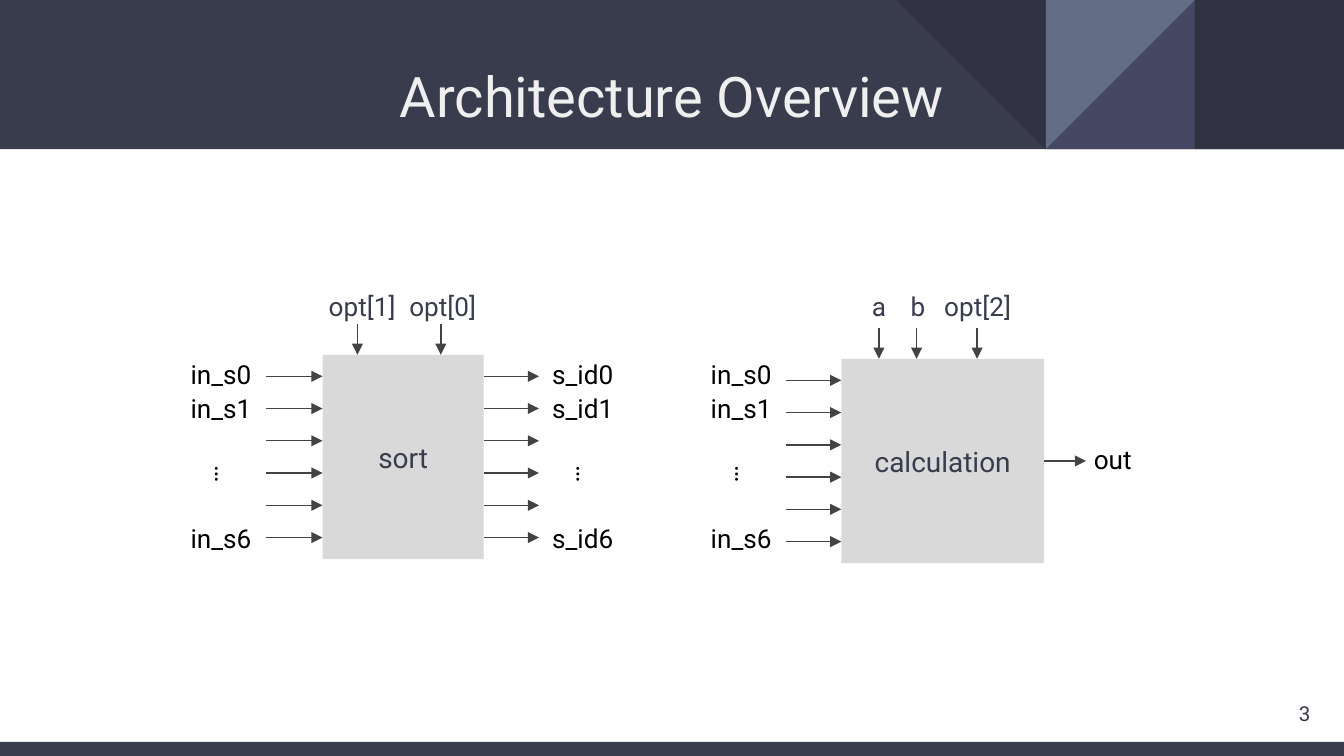
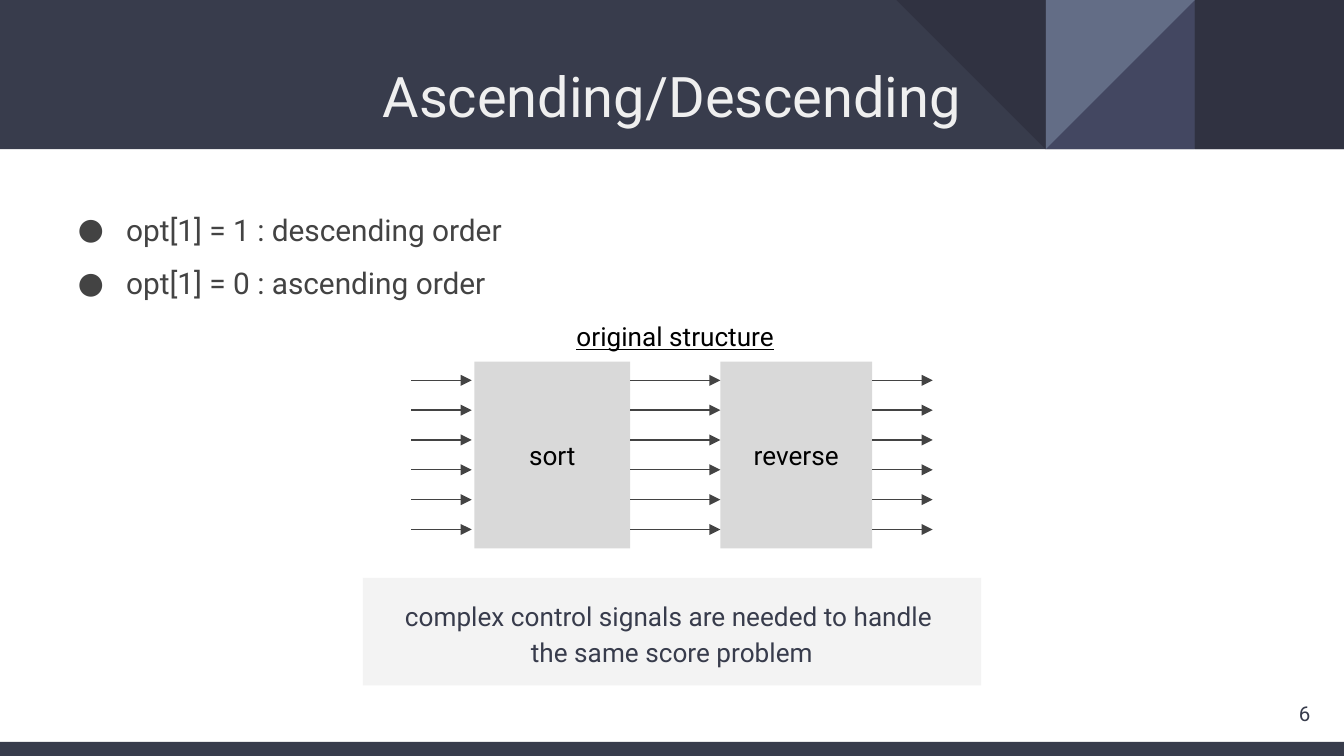
from dataclasses import dataclass

from lxml import etree
from pptx import Presentation
from pptx.dml.color import RGBColor
from pptx.enum.shapes import MSO_CONNECTOR as Connector, MSO_SHAPE as Preset
from pptx.enum.text import MSO_ANCHOR as Anchor, MSO_AUTO_SIZE as AutoSize, PP_ALIGN as Align
from pptx.oxml.ns import qn
from pptx.util import Inches, Pt


@dataclass(frozen=True)
class Theme:
    font: str = "Roboto"
    band: str = "383C4C"
    dark: str = "303241"
    violet: str = "434761"
    steel: str = "636D86"
    title: str = "EFEFEF"
    gray: str = "434343"
    black: str = "000000"
    block: str = "D9D9D9"
    note: str = "F3F3F3"
    title_size: int = 30
    body_size: int = 16
    block_size: int = 15
    label_size: int = 14
    number_size: int = 11
    line_width: float = 0.75


theme = Theme()


def write_text(shape, text, size=theme.label_size, color=theme.black, align=Align.LEFT,
               anchor=Anchor.TOP, spacing=1.0, underline=None, bullet=None, fill=None):
    """Write text into a shape, one paragraph a line, and format both."""
    if fill:
        shape.shadow.inherit = False
        shape.fill.solid()
        shape.fill.fore_color.rgb = RGBColor.from_string(fill)
        shape.line.fill.background()
    frame = shape.text_frame
    frame.text = text
    frame.word_wrap = True
    frame.auto_size = AutoSize.NONE
    frame.vertical_anchor = anchor
    frame.margin_left = frame.margin_right = frame.margin_top = frame.margin_bottom = Inches(0.1)
    for paragraph in frame.paragraphs:
        paragraph.alignment = align
        paragraph.line_spacing = spacing
        font = paragraph.runs[0].font
        font.name, font.size, font.underline = theme.font, Pt(size), underline
        font.color.rgb = RGBColor.from_string(color)
        if bullet:
            properties = paragraph._p.get_or_add_pPr()
            properties.set("marL", str(Inches(0.5)))
            properties.set("indent", str(Inches(-0.36)))
            bullet_color = etree.SubElement(properties, qn("a:buClr"))
            etree.SubElement(bullet_color, qn("a:srgbClr"), val=color)
            etree.SubElement(properties, qn("a:buFont"), typeface=theme.font)
            etree.SubElement(properties, qn("a:buChar"), char=bullet)


def add_arrow(slide, start_x, start_y, end_x, end_y):
    """Draw a thin arrow between two points."""
    points = [Inches(value) for value in (start_x, start_y, end_x, end_y)]
    arrow = slide.shapes.add_connector(Connector.STRAIGHT, *points)
    arrow.line.color.rgb = RGBColor.from_string(theme.gray)
    arrow.line.width = Pt(theme.line_width)
    etree.SubElement(arrow.line._get_or_add_ln(), qn("a:tailEnd"), type="triangle")
    etree.SubElement(arrow.element.spPr, qn("a:effectLst"))


# Widescreen slides, 16 to 9
presentation = Presentation()
presentation.slide_width = Inches(10)
presentation.slide_height = presentation.slide_width * 9 // 16
layout = presentation.slide_layouts[5]

# Slides with title and page number
slides = []
for title, number in (("Architecture Overview", "3"), ("Ascending/Descending", "6")):
    slide = presentation.slides.add_slide(layout)
    heading = slide.shapes.title
    heading.left, heading.top = Inches(0.34), Inches(0.36)
    heading.width, heading.height = Inches(9.32), Inches(0.76)
    write_text(heading, title, size=theme.title_size, color=theme.title, align=Align.CENTER)
    page = slide.shapes.add_textbox(Inches(9.25), Inches(5.09), Inches(0.6), Inches(0.43))
    write_text(page, number, size=theme.number_size, color=theme.band,
               align=Align.RIGHT, anchor=Anchor.MIDDLE)
    slides.append(slide)
overview, ordering = slides

# Shared bands and corner triangles, moved behind the layout's placeholders
tile = 1.11
decorations = (
    (Preset.RECTANGLE, 0, 0, 10, tile, theme.band, 0, False),
    (Preset.RECTANGLE, 10 - tile, 0, tile, tile, theme.dark, 0, False),
    (Preset.RIGHT_TRIANGLE, 10 - 2 * tile, 0, tile, tile, theme.violet, 0, True),
    (Preset.RIGHT_TRIANGLE, 10 - 2 * tile, 0, tile, tile, theme.steel, 180, True),
    (Preset.RIGHT_TRIANGLE, 10 - 3 * tile, 0, tile, tile, theme.dark, 180, False),
    (Preset.RECTANGLE, 0, 5.52, 10, 0.11, theme.band, 0, False),
)
for index, (preset, left, top, width, height, color, rotation, flipped) in enumerate(decorations):
    shape = overview.shapes.add_shape(preset, Inches(left), Inches(top), Inches(width), Inches(height))
    shape.shadow.inherit = False
    shape.fill.solid()
    shape.fill.fore_color.rgb = RGBColor.from_string(color)
    shape.line.fill.background()
    shape.rotation = rotation
    if flipped:
        shape.element.spPr.find(qn("a:xfrm")).set("flipH", "1")
    layout.element.cSld.spTree.insert(2 + index, shape.element)

# Result of the calculation, its arrow starting behind the block
result = overview.shapes.add_textbox(Inches(8.04), Inches(3.2), Inches(0.73), Inches(0.44))
write_text(result, "out")
add_arrow(overview, 7.72, 3.43, 8.08, 3.43)

# Blocks of both diagrams and the note below the second one
for slide, text, left, top, width, height, size, color, fill, spacing in (
    (overview, "sort", 2.4, 2.64, 1.2, 1.52, theme.block_size, theme.band, theme.block, 1.0),
    (overview, "calculation", 6.26, 2.67, 1.51, 1.52, theme.block_size, theme.band, theme.block, 1.0),
    (ordering, "sort", 3.53, 2.69, 1.16, 1.39, theme.label_size, theme.black, theme.block, 1.0),
    (ordering, "reverse", 5.36, 2.69, 1.13, 1.39, theme.label_size, theme.black, theme.block, 1.0),
    (ordering, "complex control signals are needed to handle \nthe same score problem",
     2.7, 4.3, 4.6, 0.8, theme.label_size, theme.band, theme.note, 1.15),
):
    block = slide.shapes.add_shape(Preset.RECTANGLE, Inches(left), Inches(top), Inches(width), Inches(height))
    write_text(block, text, size=size, color=color, align=Align.CENTER,
               anchor=Anchor.MIDDLE, spacing=spacing, fill=fill)

# Rows of six signal arrows
for slide, start, end, first, last in (
    (overview, 1.98, 2.4, 2.8, 4.0),
    (overview, 3.6, 4.01, 2.8, 4.0),
    (overview, 5.85, 6.26, 2.83, 4.03),
    (ordering, 3.06, 3.51, 2.83, 3.94),
    (ordering, 4.69, 5.36, 2.83, 3.94),
    (ordering, 6.49, 6.94, 2.83, 3.94),
):
    for row in range(6):
        y = first + row * (last - first) / 5
        add_arrow(slide, start, y, end, y)

# Signal names beside the blocks
for prefix, left in (("in_s", 1.32), ("s_id", 4.01), ("in_s", 5.19)):
    for signal, top in ((0, 2.57), (1, 2.82), (6, 3.79)):
        label = overview.shapes.add_textbox(Inches(left), Inches(top), Inches(0.73), Inches(0.44))
        write_text(label, f"{prefix}{signal}")
    dots = overview.shapes.add_textbox(Inches(left + 0.09), Inches(3.41), Inches(0.53), Inches(0.44))
    dots.rotation = 90
    write_text(dots, "…")

# Control signals above the blocks
for text, left, width, x, start, end in (
    ("opt[1]", 2.33, 0.73, 2.66, 2.41, 2.64),
    ("opt[0]", 2.93, 0.73, 3.28, 2.41, 2.64),
    ("a", 6.36, 0.36, 6.54, 2.44, 2.67),
    ("b", 6.62, 0.42, 6.82, 2.44, 2.67),
    ("opt[2]", 6.91, 0.73, 7.27, 2.44, 2.67),
):
    label = overview.shapes.add_textbox(Inches(left), Inches(2.06), Inches(width), Inches(0.44))
    write_text(label, text, color=theme.band, align=Align.CENTER)
    add_arrow(overview, x, start, x, end)

# Sort order options and diagram caption
options = ordering.shapes.add_textbox(Inches(0.34), Inches(1.34), Inches(9.32), Inches(0.91))
write_text(options, "opt[1] = 1 : descending order\nopt[1] = 0 : ascending order",
           size=theme.body_size, color=theme.gray, spacing=1.5, bullet="●")
caption = ordering.shapes.add_textbox(Inches(4.06), Inches(2.25), Inches(1.93), Inches(0.44))
write_text(caption, "original structure", align=Align.CENTER, spacing=1.15, underline=True)

presentation.save("out.pptx")
